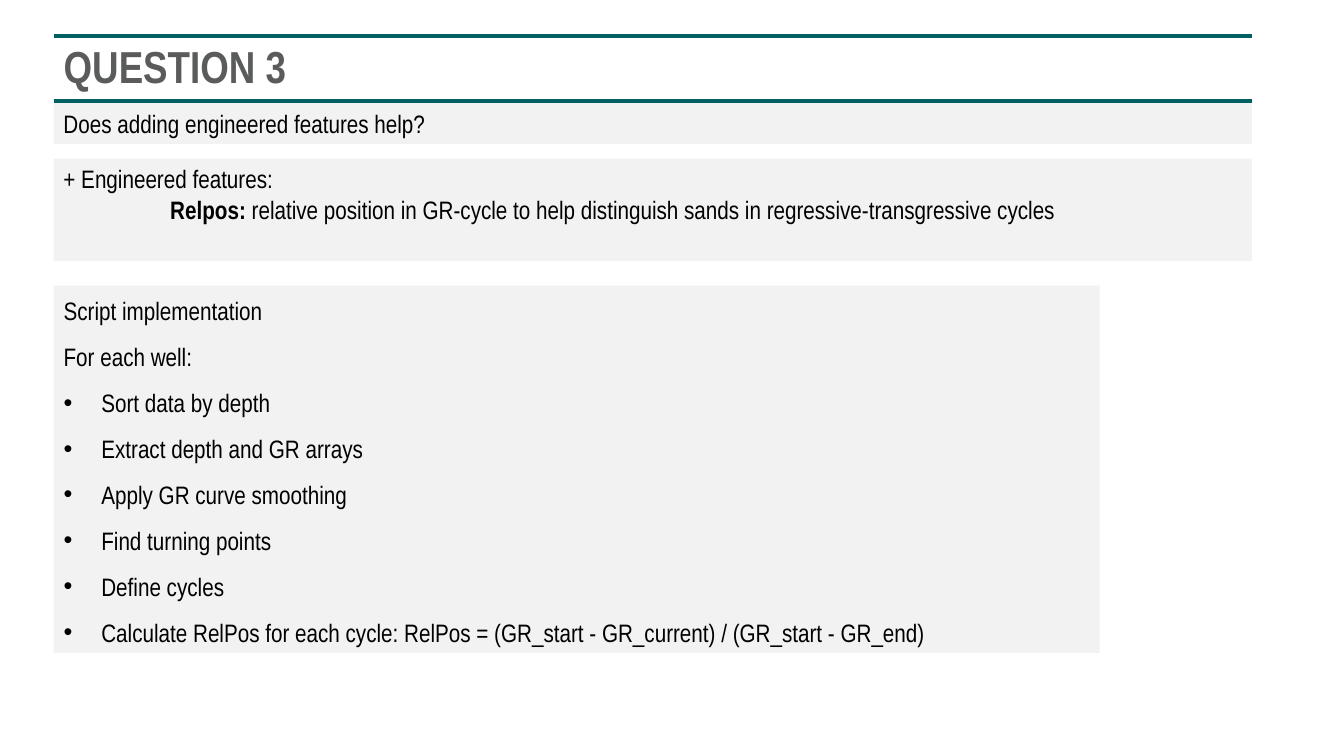
from lxml import etree
from pptx import Presentation
from pptx.dml.color import RGBColor
from pptx.enum.shapes import MSO_CONNECTOR, MSO_SHAPE
from pptx.enum.text import MSO_ANCHOR, MSO_AUTO_SIZE, PP_ALIGN
from pptx.oxml.ns import qn
from pptx.util import Cm, Pt

STRAIGHT = MSO_CONNECTOR.STRAIGHT
RECTANGLE = MSO_SHAPE.RECTANGLE
TOP, MIDDLE = MSO_ANCHOR.TOP, MSO_ANCHOR.MIDDLE
LEFT_ALIGNED = PP_ALIGN.LEFT
FIXED_SIZE = MSO_AUTO_SIZE.NONE

COLORS = {"rule": "016061", "title": "5A5C5B", "panel": "F2F2F2", "text": "000000"}
LEFT, WIDTH = Cm(1.35), Cm(30.2)


def format_panel(shape, top, width, height, anchor):
    shape.left, shape.top, shape.width, shape.height = LEFT, top, width, height
    shape.fill.solid()
    shape.fill.fore_color.rgb = RGBColor.from_string(COLORS["panel"])
    shape.line.fill.background()
    frame = shape.text_frame
    frame.word_wrap = True
    frame.auto_size = FIXED_SIZE
    frame.vertical_anchor = anchor


def format_paragraph(paragraph, size=18, color="text", bold=None):
    paragraph.alignment = LEFT_ALIGNED
    paragraph.space_before = Pt(0)
    paragraph.font.name = "Arial Narrow"
    paragraph.font.size = Pt(size)
    paragraph.font.bold = bold
    paragraph.font.color.rgb = RGBColor.from_string(COLORS[color])


presentation = Presentation()
presentation.slide_width = Cm(33.87)
presentation.slide_height = Cm(19.05)
slide = presentation.slides.add_slide(presentation.slide_layouts[1])

for rule_top in (Cm(0.91), Cm(2.54)):
    rule = slide.shapes.add_connector(STRAIGHT, LEFT, rule_top, LEFT + WIDTH, rule_top)
    rule.line.color.rgb = RGBColor.from_string(COLORS["rule"])
    rule.line.width = Pt(3)
    etree.SubElement(rule._element.spPr, qn("a:effectLst"))

title = slide.shapes.title
title.left, title.top, title.width, title.height = LEFT, Cm(0.99), WIDTH, Cm(1.5)
title.text_frame.text = "QUESTION 3"
title.text_frame.auto_size = FIXED_SIZE
title.text_frame.vertical_anchor = MIDDLE
title_paragraph = title.text_frame.paragraphs[0]
title_paragraph.line_spacing = 0.9
format_paragraph(title_paragraph, 32, "title", True)

question = slide.shapes.add_shape(RECTANGLE, LEFT, 0, WIDTH, 0)
question.shadow.inherit = False
format_panel(question, Cm(2.6), WIDTH, Cm(1.03), MIDDLE)
question.text_frame.text = "Does adding engineered features help?"
format_paragraph(question.text_frame.paragraphs[0])

features = slide.shapes.add_shape(RECTANGLE, LEFT, 0, WIDTH, 0)
features.shadow.inherit = False
format_panel(features, Cm(4), WIDTH, Cm(2.58), TOP)
features.text_frame.text = "+ Engineered features:"
relpos = features.text_frame.add_paragraph()
relpos._p.get_or_add_pPr().set("marL", str(Cm(2.69)))
relpos_name = relpos.add_run()
relpos_name.text = "Relpos: "
relpos_name.font.bold = True
relpos.add_run().text = (
    "relative position in GR-cycle to help distinguish sands "
    "in regressive-transgressive cycles"
)
for paragraph in features.text_frame.paragraphs:
    format_paragraph(paragraph)

introduction = ["Script implementation", "For each well:"]
steps = [
    "Sort data by depth",
    "Extract depth and GR arrays",
    "Apply GR curve smoothing",
    "Find turning points",
    "Define cycles",
    "Calculate RelPos for each cycle: RelPos = (GR_start - GR_current) / (GR_start - GR_end)",
]
implementation = slide.placeholders[1]
format_panel(implementation, Cm(7.2), Cm(26.36), Cm(9.25), TOP)
implementation.text_frame.text = "\n".join(introduction + steps)
for index, paragraph in enumerate(implementation.text_frame.paragraphs):
    paragraph.line_spacing = 1.15
    paragraph.space_after = Pt(8)
    paragraph.space_before = Pt(0)
    is_step = index >= len(introduction)
    indent = Cm(0.95) if is_step else 0
    properties = paragraph._p.get_or_add_pPr()
    properties.set("marL", str(indent))
    properties.set("indent", str(-indent))
    if is_step:
        etree.SubElement(properties, qn("a:buFont"), typeface="Arial")
        etree.SubElement(properties, qn("a:buChar"), char="•")
    else:
        etree.SubElement(properties, qn("a:buNone"))
    format_paragraph(paragraph)

presentation.save("out.pptx")
